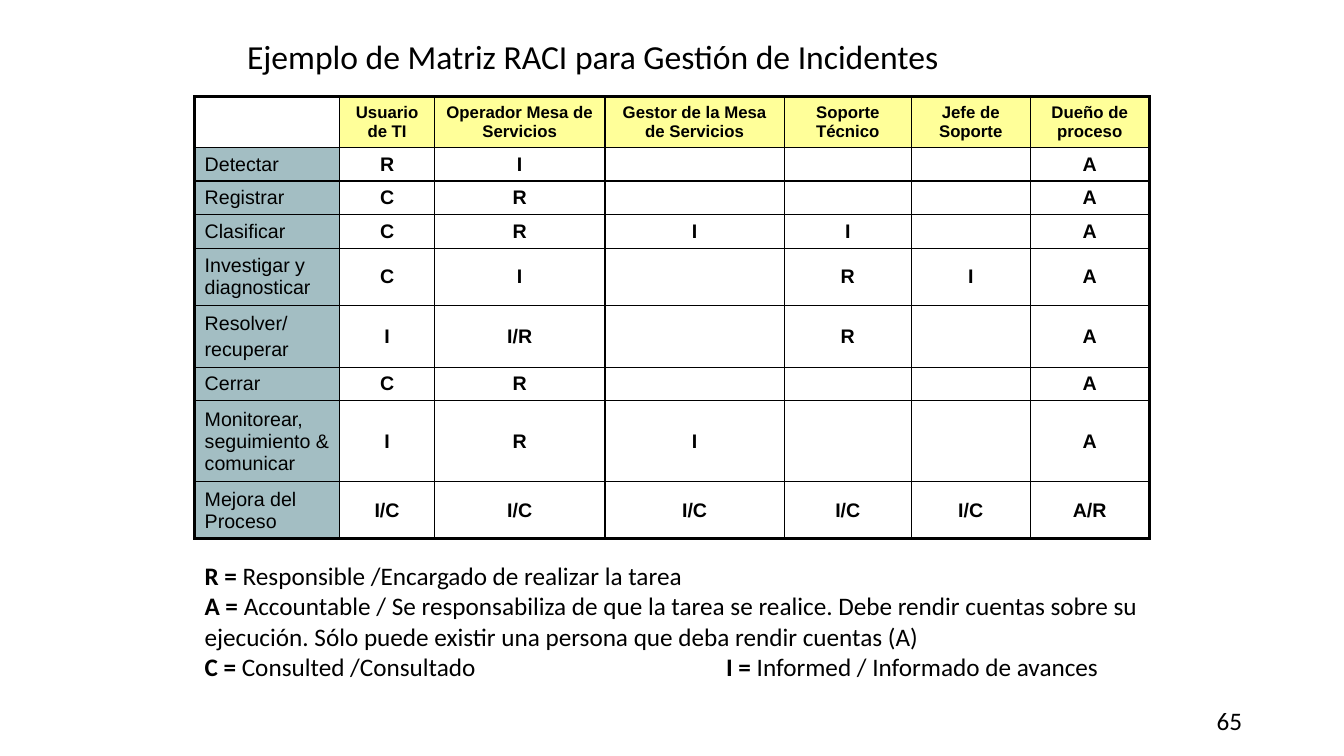
import pptx
import pptx.dml.color
import pptx.enum.text
import pptx.oxml
import pptx.oxml.ns
import pptx.util
from lxml import etree

ALIGN = pptx.enum.text.PP_ALIGN
ANCHOR = pptx.enum.text.MSO_ANCHOR
AUTO_SIZE = pptx.enum.text.MSO_AUTO_SIZE
qn = pptx.oxml.ns.qn

THEME = {
    "ink": "000000", "header": "FFFF99", "activity": "A3BEC3",
    "text_font": "Calibri", "table_font": "Arial",
    "title_size": 24, "body_size": 18, "header_size": 12, "cell_size": 14,
    "inner_line": 1, "outer_line": 2.25,
}

presentation = pptx.Presentation()
presentation.slide_width = pptx.util.Inches(13.33)
presentation.slide_height = pptx.util.Inches(7.5)
slide = presentation.slides.add_slide(presentation.slide_layouts[5])


def share(left, top, width, height):
    """Turn percentages of the slide's width and height into lengths."""
    across, down = presentation.slide_width / 100, presentation.slide_height / 100
    return [round(left * across), round(top * down), round(width * across), round(height * down)]


def add_run(paragraph, text, font, size, bold=False):
    run = paragraph.add_run()
    run.text = text
    values = {"name": THEME[font], "size": pptx.util.Pt(THEME[size]), "bold": bold}
    for name, value in values.items():
        setattr(run.font, name, value)
    run.font.color.rgb = pptx.dml.color.RGBColor.from_string(THEME["ink"])


# Title
title = slide.shapes.title
for name, value in zip(("left", "top", "width", "height"), share(17.63, 1.2, 64.67, 13.2)):
    setattr(title, name, value)
title_format = {"vertical_anchor": ANCHOR.MIDDLE, "auto_size": AUTO_SIZE.NONE, "word_wrap": True}
for name, value in title_format.items():
    setattr(title.text_frame, name, value)
paragraph = title.text_frame.paragraphs[0]
paragraph.alignment = ALIGN.JUSTIFY
paragraph.line_spacing = 0.9
add_run(paragraph, "Ejemplo de Matriz RACI para Gestión de Incidentes", "text_font", "title_size")

# Page number
page_number = slide.shapes.add_textbox(*share(70.67, 92.67, 22.5, 5.33))
page_number.text_frame.word_wrap = True
page_number.text_frame.vertical_anchor = ANCHOR.MIDDLE
paragraph = page_number.text_frame.paragraphs[0]
paragraph.alignment = ALIGN.RIGHT
add_run(paragraph, "65", "text_font", "body_size")

# Legend: each line holds pairs of letter and meaning
legend_lines = [
    [("R = ", "Responsible /Encargado de realizar la tarea")],
    [("A = ", "Accountable / Se responsabiliza de que la tarea se realice. Debe rendir cuentas "
              "sobre su ejecución. Sólo puede existir una persona que deba rendir cuentas (A)")],
    [("C = ", "Consulted /Consultado\t"), ("I = ", "Informed / Informado de avances")],
]
legend = slide.shapes.add_textbox(*share(14.48, 73.47, 70.97, 17.47))
legend.text_frame.word_wrap = True
for index, pairs in enumerate(legend_lines):
    paragraph = legend.text_frame.paragraphs[0] if index == 0 else legend.text_frame.add_paragraph()
    if len(pairs) > 1:
        tab_list = etree.SubElement(paragraph._p.get_or_add_pPr(), qn("a:tabLst"))
        tab_position = share(38.8, 0, 0, 0)[0]
        etree.SubElement(tab_list, qn("a:tab"), pos=str(tab_position), algn="l")
    for letter, meaning in pairs:
        add_run(paragraph, letter, "text_font", "body_size", bold=True)
        add_run(paragraph, meaning, "text_font", "body_size")

# RACI matrix
matrix = [
    ["", "Usuario de TI", "Operador Mesa de Servicios", "Gestor de la Mesa de Servicios",
     "Soporte Técnico", "Jefe de Soporte", "Dueño de proceso"],
    ["Detectar", "R", "I", "", "", "", "A"],
    ["Registrar", "C", "R", "", "", "", "A"],
    ["Clasificar", "C", "R", "I", "I", "", "A"],
    ["Investigar y diagnosticar", "C", "I", "", "R", "I", "A"],
    ["Resolver/\nrecuperar", "I", "I/R", "", "R", "", "A"],
    ["Cerrar", "C", "R", "", "", "", "A"],
    ["Monitorear, seguimiento & comunicar", "I", "R", "I", "", "", "A"],
    ["Mejora del Proceso", "I/C", "I/C", "I/C", "I/C", "I/C", "A/R"],
]
column_shares = [10.8, 7.05, 12.68, 13.35, 9.45, 8.85, 8.85]
row_shares = [6.7, 4.45, 4.45, 4.45, 7.55, 8.15, 4.45, 10.7, 7.55]
last_row, last_column = len(row_shares) - 1, len(column_shares) - 1

table = slide.shapes.add_table(
    len(row_shares), len(column_shares),
    *share(14.48, 12.8, sum(column_shares), sum(row_shares))).table
table.first_row = False
table.horz_banding = False
for column, width in zip(table.columns, column_shares):
    column.width = share(0, 0, width, 0)[2]
for row, height in zip(table.rows, row_shares):
    row.height = share(0, 0, 0, height)[3]

for row_index, row_texts in enumerate(matrix):
    for column_index, text in enumerate(row_texts):
        cell = table.cell(row_index, column_index)
        is_header, is_activity = row_index == 0, column_index == 0
        cell.vertical_anchor = ANCHOR.MIDDLE

        outer_edges = {"lnL": is_activity, "lnR": column_index == last_column,
                       "lnT": is_header, "lnB": row_index == last_row}
        for edge, is_outer in outer_edges.items():
            points = THEME["outer_line" if is_outer else "inner_line"]
            line = etree.SubElement(cell._tc.get_or_add_tcPr(), qn(f"a:{edge}"),
                                    w=str(pptx.util.Pt(points)))
            line_fill = etree.SubElement(line, qn("a:solidFill"))
            etree.SubElement(line_fill, qn("a:srgbClr"), val=THEME["ink"])

        if is_header == is_activity:
            cell.fill.background()
        else:
            cell.fill.solid()
            fill_color = THEME["header" if is_header else "activity"]
            cell.fill.fore_color.rgb = pptx.dml.color.RGBColor.from_string(fill_color)

        size = "header_size" if is_header else "cell_size"
        if not text:
            etree.SubElement(cell.text_frame.paragraphs[0]._p, qn("a:endParaRPr"),
                             sz=str(THEME[size] * 100))
            continue
        for index, text_line in enumerate(text.split("\n")):
            paragraph = cell.text_frame.paragraphs[0]
            if index > 0:
                paragraph = cell.text_frame.add_paragraph()
                paragraph.space_before = pptx.util.Pt(0.2 * THEME[size])
            paragraph.alignment = ALIGN.LEFT if is_activity else ALIGN.CENTER
            add_run(paragraph, text_line, "table_font", size, bold=not is_activity)

presentation.save("out.pptx")
